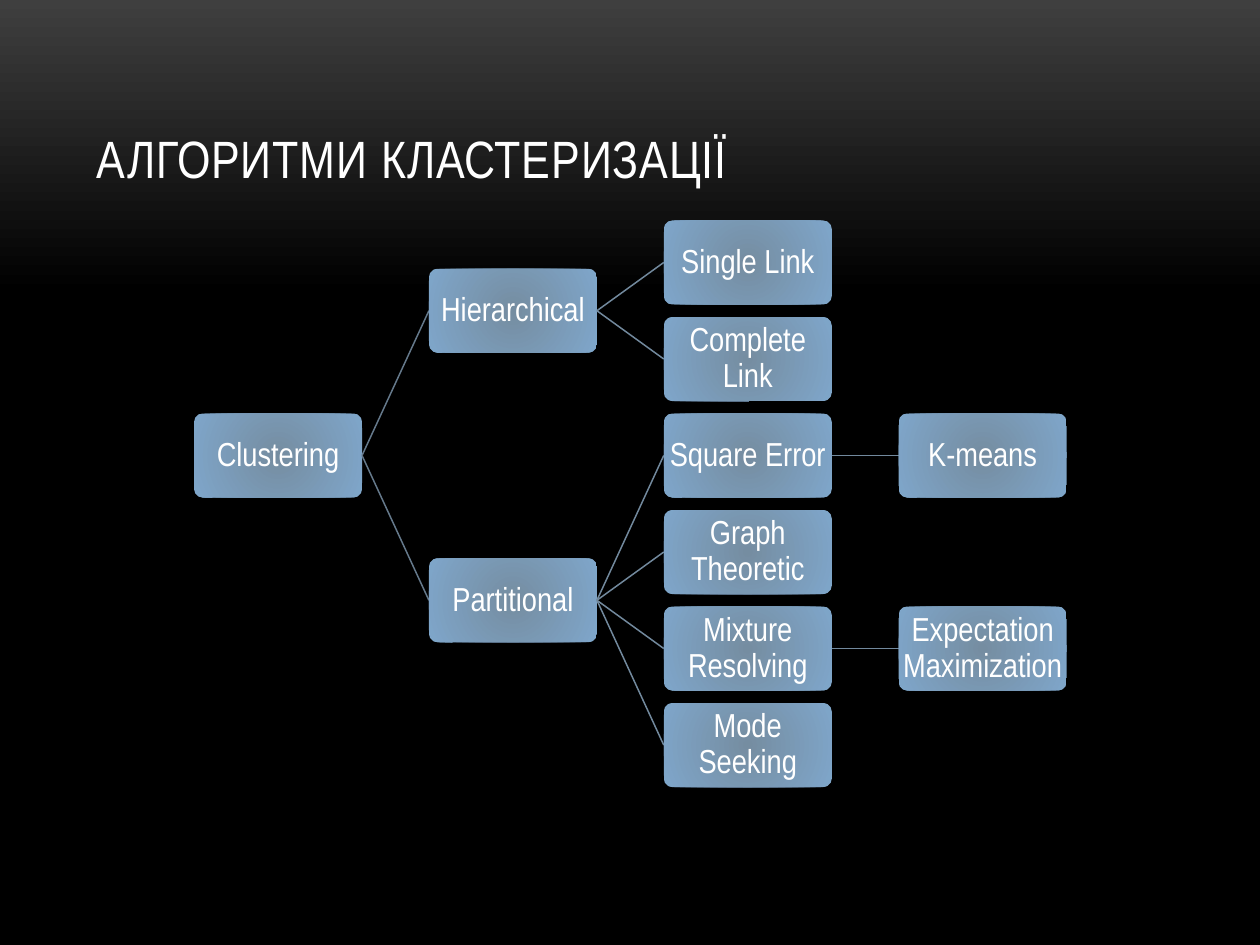
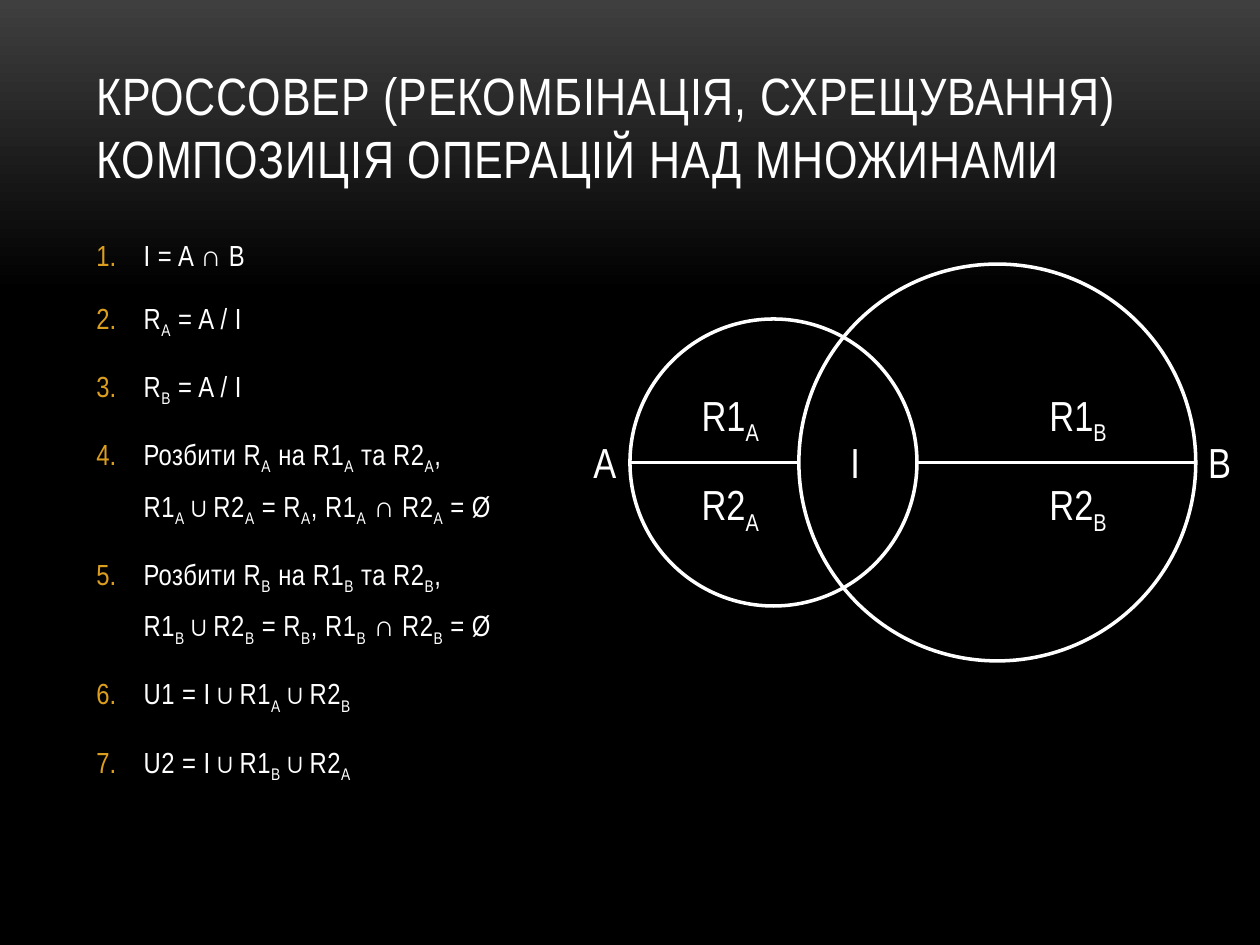
"""Two dark slides: a tree of clustering algorithms and a crossover built on sets."""
from lxml.etree import SubElement
from pptx import Presentation
from pptx.dml.color import RGBColor
from pptx.enum.shapes import MSO_CONNECTOR, MSO_SHAPE
from pptx.enum.text import MSO_ANCHOR, PP_ALIGN
from pptx.oxml import parse_xml
from pptx.oxml.ns import nsdecls, qn
from pptx.util import Pt

FONT = "Arial Narrow"
WHITE, GOLD = "FFFFFF", "DC9E1F"
BACK_STOPS = [(0, "3F3F3F"), (31, "000000"), (100, "000000")]
BOX_STOPS = [(0, "758DA1"), (100, "7FA6CA")]
DOWNWARD = '<a:lin ang="5400000" scaled="0"/>'
CIRCULAR = ('<a:path path="circle"><a:fillToRect l="100000" t="100000" '
            'r="100000" b="100000"/></a:path>')

TREE_LEFT, TREE_TOP = 110.9, 126
COLUMN_STEP, ROW_STEP = 134.2, 55.15
BOX_W, BOX_H = 96, 48
TREE = [
    ("Clustering", 0, 2, None),
    ("Hierarchical", 1, 0.5, "Clustering"),
    ("Partitional", 1, 3.5, "Clustering"),
    ("Single Link", 2, 0, "Hierarchical"),
    ("Complete Link", 2, 1, "Hierarchical"),
    ("Square Error", 2, 2, "Partitional"),
    ("Graph Theoretic", 2, 3, "Partitional"),
    ("Mixture Resolving", 2, 4, "Partitional"),
    ("Mode Seeking", 2, 5, "Partitional"),
    ("K-means", 3, 2, "Square Error"),
    ("Expectation Maximization", 3, 4, "Mixture Resolving"),
]

STEPS = [
    "I = A ∩ B",
    "R_A = A / I",
    "R_B = A / I",
    "Розбити R_A на R1_A та R2_A,\nR1_A ∪ R2_A = R_A, R1_A ∩ R2_A = Ø",
    "Розбити R_B на R1_B та R2_B,\nR1_B ∪ R2_B = R_B, R1_B ∩ R2_B = Ø",
    "U1 = I ∪ R1_A ∪ R2_B",
    "U2 = I ∪ R1_B ∪ R2_A",
]

AXIS = 264.3
A_LEFT, A_SIZE = 360, 164
B_LEFT, B_SIZE = 456.5, 226.8


def rgb(color):
    """Turn a hex string into a colour."""
    return RGBColor.from_string(color)


def set_gradient(fill, element, stops, direction):
    """Give the first fill inside an element a gradient."""
    fill.solid()
    solid = element.xpath(".//a:solidFill")[0]
    marks = "".join(f'<a:gs pos="{pos * 1000}"><a:srgbClr val="{color}"/></a:gs>'
                    for pos, color in stops)
    solid.getparent().replace(solid, parse_xml(
        f'<a:gradFill {nsdecls("a")} rotWithShape="1">'
        f'<a:gsLst>{marks}</a:gsLst>{direction}</a:gradFill>'))


def add_run(p, text, size, spacing=0, subscript=False):
    """Add one white run to a paragraph."""
    r = p.add_run()
    r.text = text
    r.font.name, r.font.size = FONT, Pt(size)
    r.font.color.rgb = rgb(WHITE)
    props = r.font._element
    if spacing:
        props.set("spc", str(round(spacing * 100)))
    if subscript:
        props.set("baseline", "-25000")


def add_formula(p, text, size, spacing=0):
    """Add text in which an underscore lowers the next letter."""
    for number, line in enumerate(text.split("\n")):
        if number:
            p.add_line_break()
        head, *tails = line.split("_")
        add_run(p, head, size, spacing)
        for tail in tails:
            add_run(p, tail[0], size, spacing, subscript=True)
            if tail[1:]:
                add_run(p, tail[1:], size, spacing)


def add_text_box(s, left, top, width, height):
    """Add a wrapping text box and return its text frame."""
    tf = s.shapes.add_textbox(Pt(left), Pt(top), Pt(width), Pt(height)).text_frame
    tf.word_wrap = True
    return tf


def add_slide(prs, title):
    """Add a slide with the shared background and title."""
    s = prs.slides.add_slide(prs.slide_layouts[6])
    set_gradient(s.background.fill, s.element, BACK_STOPS, DOWNWARD)
    tf = add_text_box(s, 48, 21.6, 624, 90)
    tf.vertical_anchor = MSO_ANCHOR.BOTTOM
    add_run(tf.paragraphs[0], title, 30, spacing=0.5)
    return s


def add_line(s, start, end, color, width):
    """Add a straight line without a shadow."""
    line = s.shapes.add_connector(MSO_CONNECTOR.STRAIGHT, *map(Pt, start + end))
    line.line.color.rgb = rgb(color)
    line.line.width = Pt(width)
    SubElement(line._element.spPr, qn("a:effectLst"))


def add_tree_box(s, label, left, middle):
    """Add a rounded box of the tree."""
    sp = s.shapes.add_shape(MSO_SHAPE.ROUNDED_RECTANGLE, Pt(left),
                            Pt(middle - BOX_H / 2), Pt(BOX_W), Pt(BOX_H))
    sp.adjustments[0] = 0.1
    sp.shadow.inherit = False
    set_gradient(sp.fill, sp.element, BOX_STOPS, CIRCULAR)
    sp.line.fill.background()
    tf = sp.text_frame
    tf.word_wrap = True
    tf.vertical_anchor = MSO_ANCHOR.MIDDLE
    tf.margin_left = tf.margin_right = tf.margin_top = tf.margin_bottom = Pt(0.8)
    p = tf.paragraphs[0]
    p.alignment, p.line_spacing = PP_ALIGN.CENTER, 0.9
    add_run(p, label, 19)


def add_tree(s):
    """Draw the tree from left to right."""
    places = {}
    for label, column, row, parent in TREE:
        left = TREE_LEFT + column * COLUMN_STEP
        middle = TREE_TOP + row * ROW_STEP + BOX_H / 2
        places[label] = (left, middle)
        if parent:
            parent_left, parent_middle = places[parent]
            add_line(s, (parent_left + BOX_W, parent_middle), (left, middle),
                     "65798B" if column == 1 else "72899D", 0.85)
        add_tree_box(s, label, left, middle)


def add_steps(s):
    """Add the numbered steps."""
    tf = add_text_box(s, 48, 126, 278, 324)
    for number, step in enumerate(STEPS):
        p = tf.add_paragraph() if number else tf.paragraphs[0]
        p.line_spacing, p.space_before, p.space_after = 1.3, Pt(3.5), Pt(6)
        props = p._p.get_or_add_pPr()
        props.set("marL", str(Pt(27)))
        props.set("indent", str(-Pt(27)))
        SubElement(SubElement(props, qn("a:buClr")), qn("a:srgbClr"), val=GOLD)
        SubElement(props, qn("a:buFont"), typeface=FONT)
        SubElement(props, qn("a:buAutoNum"), type="arabicPeriod")
        add_formula(p, step, 16.6, spacing=0.3)


def add_circle(s, left, size):
    """Add an outlined circle centred on the axis."""
    sp = s.shapes.add_shape(MSO_SHAPE.OVAL, Pt(left), Pt(AXIS - size / 2),
                            Pt(size), Pt(size))
    sp.shadow.inherit = False
    sp.fill.background()
    sp.line.color.rgb = rgb(WHITE)
    sp.line.width = Pt(2)


def add_label(s, text, left, top, width):
    """Add a label of the set diagram."""
    tf = add_text_box(s, left, top, width, 36)
    add_formula(tf.paragraphs[0], text, 24)


def add_sets(s):
    """Draw the two crossing sets with their halves."""
    add_circle(s, A_LEFT, A_SIZE)
    add_circle(s, B_LEFT, B_SIZE)
    for start, end in ((A_LEFT, B_LEFT), (A_LEFT + A_SIZE, B_LEFT + B_SIZE)):
        add_line(s, (start, AXIS), (end, AXIS), WHITE, 2)
    for name, left in (("A", 332), ("I", 478.8), ("B", 683.3)):
        add_label(s, name, left, 246.2, 36)
    for name, left in (("A", 393.8), ("B", 592.6)):
        for half, top in (("R1", 218.9), ("R2", 270)):
            add_label(s, f"{half}_{name}", left, top, 57)


def main():
    """Build and save both slides."""
    prs = Presentation()
    prs.slide_width, prs.slide_height = Pt(720), Pt(540)
    add_tree(add_slide(prs, "АЛГОРИТМИ КЛАСТЕРИЗАЦІЇ"))
    s = add_slide(prs, "КРОССОВЕР (РЕКОМБІНАЦІЯ, СХРЕЩУВАННЯ) "
                       "КОМПОЗИЦІЯ ОПЕРАЦІЙ НАД МНОЖИНАМИ")
    add_steps(s)
    add_sets(s)
    prs.save("out.pptx")


if __name__ == "__main__":
    main()
